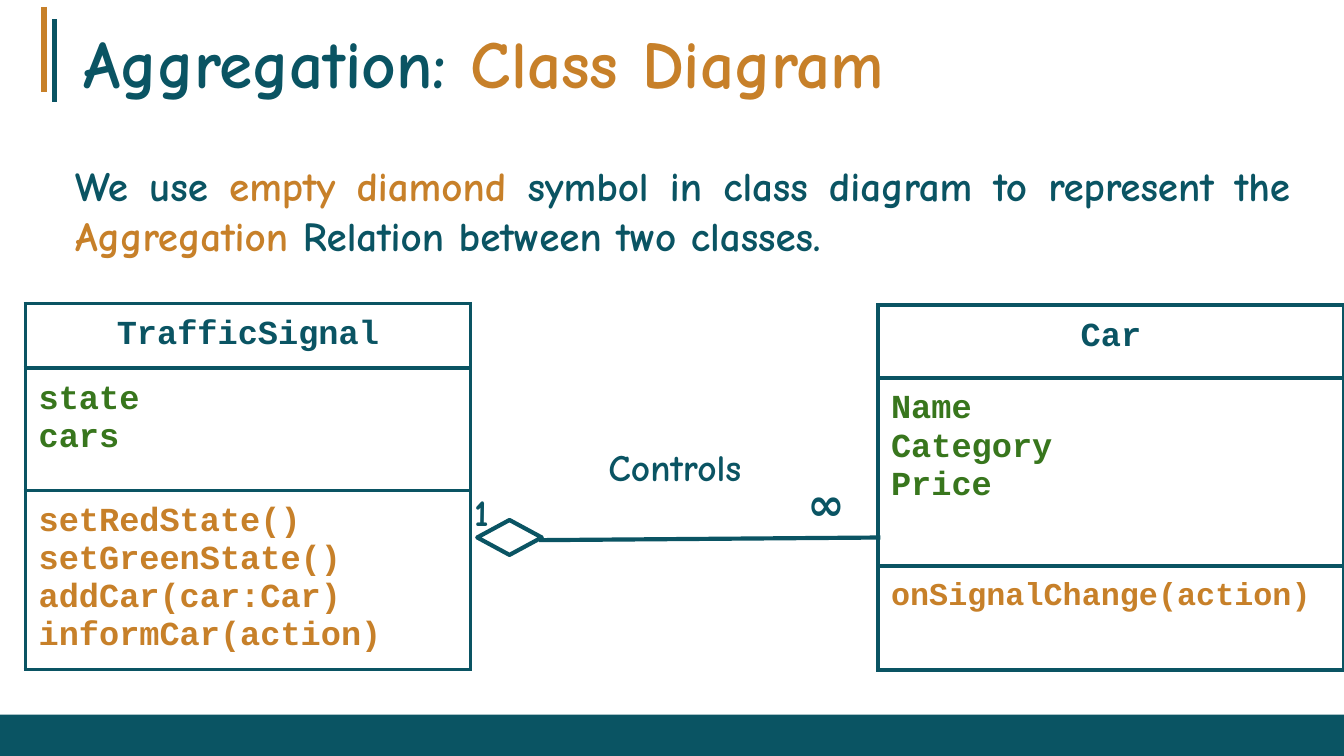
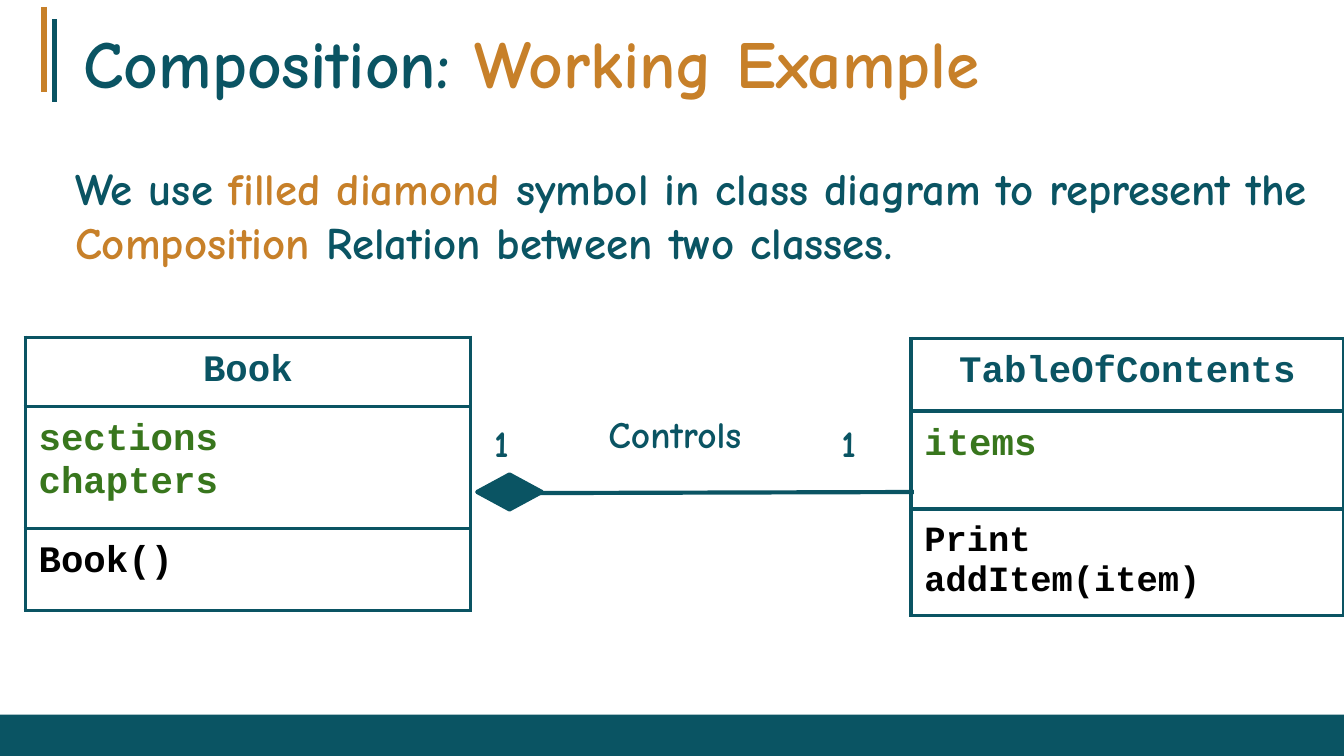
from lxml import etree
from pptx import Presentation
from pptx.dml.color import RGBColor
from pptx.enum.shapes import MSO_CONNECTOR, MSO_SHAPE
from pptx.enum.text import MSO_ANCHOR, MSO_AUTO_SIZE, PP_ALIGN
from pptx.oxml.ns import qn
from pptx.util import Cm, Pt

COLORS = {
    "teal": "0A5463",
    "orange": "C78029",
    "green": "38761D",
    "black": "000000",
    "white": "FFFFFF",
}
TEXT_FONT, CODE_FONT = "Comic Neue", "Courier New"
STRAIGHT = MSO_CONNECTOR.STRAIGHT
RECTANGLE, DIAMOND = MSO_SHAPE.RECTANGLE, MSO_SHAPE.FLOWCHART_DECISION
LEFT, CENTER, JUSTIFY = PP_ALIGN.LEFT, PP_ALIGN.CENTER, PP_ALIGN.JUSTIFY
TOP, BOTTOM = MSO_ANCHOR.TOP, MSO_ANCHOR.BOTTOM
FIXED, GROW = MSO_AUTO_SIZE.NONE, MSO_AUTO_SIZE.SHAPE_TO_FIT_TEXT

PAGE_WIDTH, PAGE_HEIGHT = 25.4, 14.29
FOOTER_TOP = 13.51
MARGINS = {"margin_" + side: Cm(0.25) for side in ("left", "top", "right", "bottom")}
RULE_WEIGHT = 2.25
TITLE_ONLY = 5


def rgb(name):
    return RGBColor.from_string(COLORS[name])


def set_all(target, values):
    for name, value in values.items():
        setattr(target, name, value)


def lengths(*values):
    return [Cm(value) for value in values]


class DiagramDeck:
    """Holds the shared style and the slide being drawn."""

    def __init__(self):
        self.deck = Presentation()
        set_all(self.deck, {"slide_width": Cm(PAGE_WIDTH), "slide_height": Cm(PAGE_HEIGHT)})
        self.page = None

    def add_page(self, topic, subject):
        layout = self.deck.slide_layouts[TITLE_ONLY]
        self.page = self.deck.slides.add_slide(layout)
        title = self.page.shapes.title
        bounds = lengths(0, 0, PAGE_WIDTH, 2.18)
        set_all(title, dict(zip(("left", "top", "width", "height"), bounds)))
        self.format_frame(title.text_frame, vertical_anchor=BOTTOM, margin_left=Cm(1.58))
        spans = [(topic + ": ", "teal"), (subject, "orange")]
        self.add_spans(title.text_frame.paragraphs[0], spans, 36)
        self.line((1.03, 0.36), (1.03, 1.93), 3)
        self.line((0.83, 0.13), (0.83, 1.73), 3, "orange")
        self.shape(RECTANGLE, (0, FOOTER_TOP, PAGE_WIDTH, PAGE_HEIGHT - FOOTER_TOP), "teal")

    def format_frame(self, frame, **values):
        common = {"word_wrap": True, "auto_size": FIXED, "vertical_anchor": TOP}
        set_all(frame, {**common, **MARGINS, **values})

    def add_spans(self, para, spans, size, font=TEXT_FONT, align=LEFT):
        para.alignment = align
        for text, color in spans:
            span = para.add_run()
            span.text = text
            set_all(span.font, {"name": font, "size": Pt(size), "bold": True})
            span.font.color.rgb = rgb(color)

    def text(self, bounds, spans, size=20, align=LEFT, fit=GROW):
        box = self.page.shapes.add_textbox(*lengths(*bounds))
        self.format_frame(box.text_frame, auto_size=fit)
        self.add_spans(box.text_frame.paragraphs[0], spans, size, align=align)

    def label(self, text, bounds, size=20):
        self.text(bounds, [(text, "teal")], size)

    def line(self, start, end, weight=RULE_WEIGHT, color="teal"):
        line = self.page.shapes.add_connector(STRAIGHT, *lengths(*start, *end))
        line.line.color.rgb = rgb(color)
        line.line.width = Pt(weight)
        etree.SubElement(line._element.spPr, qn("a:effectLst"))

    def shape(self, kind, bounds, fill, outline=None):
        shape = self.page.shapes.add_shape(kind, *lengths(*bounds))
        shape.shadow.inherit = False
        shape.fill.solid()
        shape.fill.fore_color.rgb = rgb(fill)
        if outline:
            shape.line.color.rgb = rgb(outline)
            shape.line.width = Pt(RULE_WEIGHT)
        else:
            shape.line.fill.background()

    def border(self, cell):
        properties = cell._tc.get_or_add_tcPr()
        for index, side in enumerate(("lnL", "lnR", "lnT", "lnB")):
            edge = etree.Element(qn("a:" + side), w=str(Pt(RULE_WEIGHT)))
            fill = etree.SubElement(edge, qn("a:solidFill"))
            etree.SubElement(fill, qn("a:srgbClr"), val=COLORS["teal"])
            properties.insert(index, edge)

    def class_table(self, corner, width, heights, sections):
        """Draws a class; each section is (lines, color, size), the first its name."""
        bounds = lengths(*corner, width, sum(heights))
        table = self.page.shapes.add_table(len(heights), 1, *bounds).table
        set_all(table, {"first_row": False, "horz_banding": False})
        for number, (lines, color, size) in enumerate(sections):
            table.rows[number].height = Cm(heights[number])
            cell = table.cell(number, 0)
            cell.fill.background()
            self.border(cell)
            set_all(cell, MARGINS)
            frame = cell.text_frame
            for index, text in enumerate(lines):
                para = frame.add_paragraph() if index else frame.paragraphs[0]
                align = LEFT if number else CENTER
                self.add_spans(para, [(text, color)], size, CODE_FONT, align)

    def statement(self, symbol, relation, width, size, align=LEFT):
        spans = [
            ("We use ", "teal"),
            (symbol, "orange"),
            (" symbol in class diagram to represent the ", "teal"),
            (relation, "orange"),
            (" Relation between two classes.", "teal"),
        ]
        self.text((1.17, 2.79, width, 8.79), spans, size, align, FIXED)

    def diamond(self, top, fill):
        self.shape(DIAMOND, (9.02, top, 1.22, 0.66), fill, "teal")


def aggregation(deck):
    deck.add_page("Aggregation", "Class Diagram")
    deck.statement("empty diamond", "Aggregation", 23.47, 22, JUSTIFY)
    deck.class_table((16.59, 5.77), 8.81, (1.37, 3.56, 1.96), [
        (["Car"], "teal", 18),
        (["Name", "Category", "Price"], "green", 18),
        (["onSignalChange(action)"], "orange", 17),
    ])
    methods = ["setRedState()", "setGreenState()", "addCar(car:Car)", "informCar(action)"]
    deck.class_table((0.48, 5.74), 8.41, (1.04, 2.31, 1.55), [
        (["TrafficSignal"], "teal", 18),
        (["state", "cars"], "green", 18),
        (methods, "orange", 18),
    ])
    deck.label("Controls", (11.25, 8.15, 4.47, 1.37))
    deck.line((10.19, 10.21), (16.64, 10.16))
    deck.label("∞", (15.01, 8.74, 1.22, 1.55), 24)
    deck.label("1", (8.71, 8.99, 0.84, 1.37))
    deck.diamond(9.83, "white")


def composition(deck):
    deck.add_page("Composition", "Working Example")
    deck.statement("filled diamond", "Composition", 24.03, 24)
    deck.class_table((17.22, 6.4), 8.18, (1.37, 1.85, 1.4), [
        (["TableOfContents"], "teal", 20),
        (["items"], "green", 20),
        (["Print", "addItem(item)"], "black", 19),
    ])
    deck.class_table((0.48, 6.38), 8.41, (1.04, 2.31, 1.55), [
        (["Book"], "teal", 20),
        (["sections", "chapters"], "green", 20),
        (["Book()"], "black", 20),
    ])
    deck.label("Controls", (11.25, 7.52, 4.47, 1.37))
    deck.line((10.16, 9.32), (17.27, 9.3))
    for left in (15.65, 9.09):
        deck.label("1", (left, 7.7, 1.22, 1.37))
    deck.diamond(8.97, "teal")


def main():
    deck = DiagramDeck()
    aggregation(deck)
    composition(deck)
    deck.deck.save("out.pptx")


if __name__ == "__main__":
    main()
